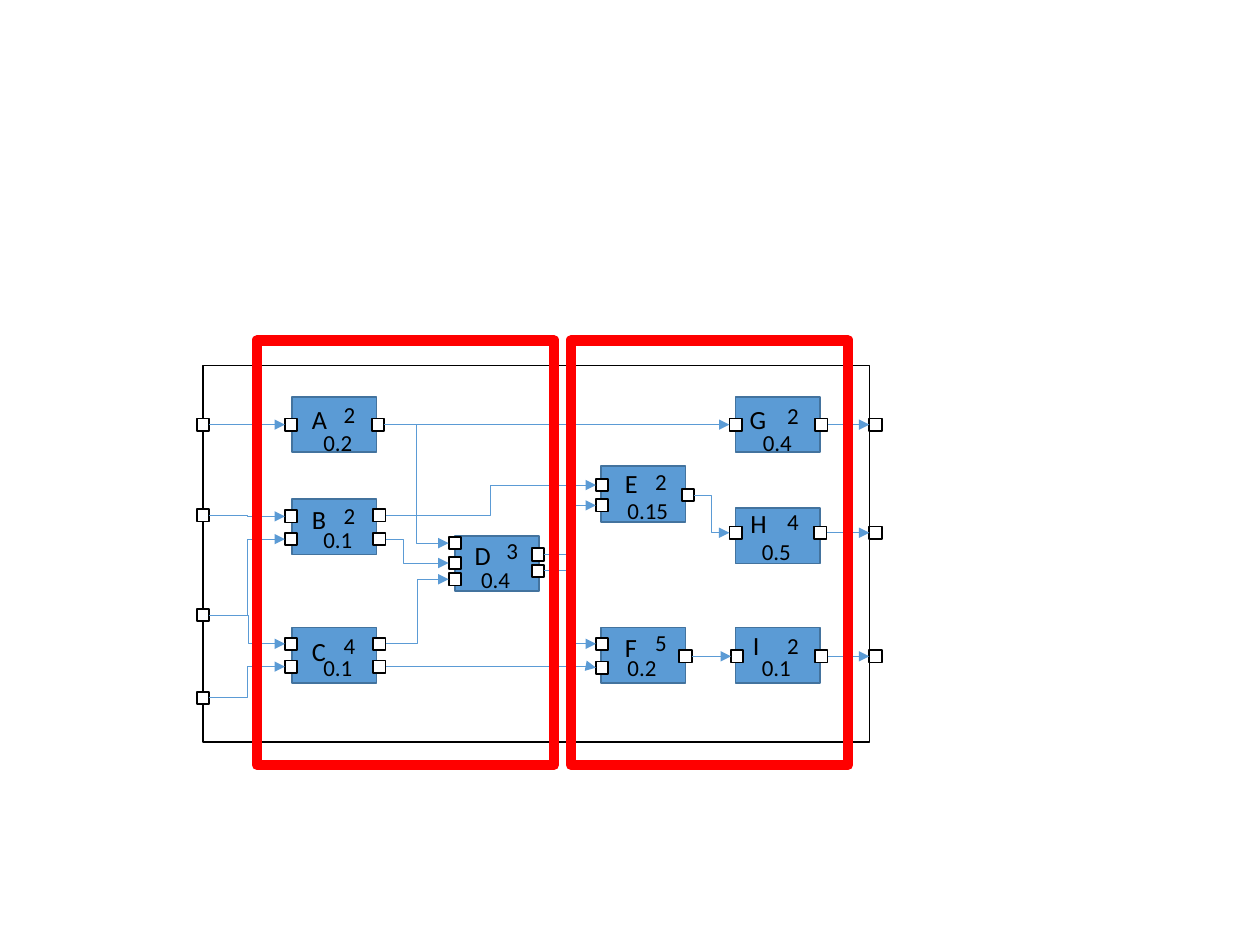
from dataclasses import dataclass
from typing import Optional

import lxml.etree
import pptx
import pptx.dml.color
import pptx.enum.shapes
import pptx.enum.text
import pptx.oxml.ns
import pptx.util

Cm, Pt = pptx.util.Cm, pptx.util.Pt
RGB = pptx.dml.color.RGBColor
qn = pptx.oxml.ns.qn
Point = tuple[float, float]


@dataclass(frozen=True)
class Theme:
    font: str = "Calibri"
    ink: RGB = RGB(0, 0, 0)
    paper: RGB = RGB(255, 255, 255)
    block_fill: RGB = RGB(0x5B, 0x9B, 0xD5)
    block_line: RGB = RGB(0x43, 0x73, 0x9E)
    partition: RGB = RGB(255, 0, 0)
    name_size: float = 15
    number_size: float = 13.1
    thin: float = 0.5
    normal: float = 1
    thick: float = 6


@dataclass(frozen=True)
class Block:
    """A task; label places are offsets from its top left corner, in cm."""
    left: float
    top: float
    count: str
    weight: str
    name_at: Point
    count_at: Point
    weight_at: Point


@dataclass(frozen=True)
class Ports:
    """Heights of the port centres on the two sides of a block."""
    in_x: float = 0
    ins: tuple[float, ...] = ()
    out_x: float = 0
    outs: tuple[float, ...] = ()


@dataclass(frozen=True)
class Wire:
    source: str
    out: int
    target: str
    into: int
    bend: float = 0.5
    branch_x: Optional[float] = None


THEME = Theme()
BLOCK_W, BLOCK_H, PORT = 1.7, 1.12, 0.25
NAME_BOX, COUNT_BOX = (0.79, 0.9), (0.91, 0.81)
WEIGHT_H = 0.81

BLOCKS = {
    "A": Block(5.89, 8, "2", "0.2", (0.15, 0), (0.79, -0.05), (0.38, 0.51)),
    "B": Block(5.89, 10.06, "2", "0.1", (0.15, -0.03), (0.79, -0.08), (0.38, 0.41)),
    "C": Block(5.89, 12.65, "4", "0.1", (0.15, 0.03), (0.79, -0.05), (0.38, 0.41)),
    "D": Block(9.17, 10.8, "3", "0.4", (0.15, -0.05), (0.79, -0.1), (0.28, 0.48)),
    "E": Block(12.12, 9.4, "2", "0.15", (0.23, -0.1), (0.84, -0.1), (0.28, 0.48)),
    "F": Block(12.12, 12.65, "5", "0.2", (0.23, -0.05), (0.84, -0.1), (0.28, 0.41)),
    "G": Block(14.83, 8, "2", "0.4", (0.03, 0), (0.79, -0.03), (0.3, 0.51)),
    "H": Block(14.83, 10.24, "4", "0.5", (0.05, -0.13), (0.79, -0.13), (0.28, 0.48)),
    "I": Block(14.83, 12.65, "2", "0.1", (0.1, -0.08), (0.79, -0.05), (0.28, 0.41)),
}

PORTS = {
    "inputs": Ports(out_x=4.09, outs=(8.56, 10.39, 12.4, 14.07)),
    "A": Ports(5.87, (8.56,), 7.62, (8.56,)),
    "B": Ports(5.87, (10.41, 10.87), 7.65, (10.39, 10.87)),
    "C": Ports(5.87, (12.98, 13.44), 7.65, (12.98, 13.44)),
    "D": Ports(9.17, (10.95, 11.35, 11.68), 10.85, (11.18, 11.51)),
    "E": Ports(12.14, (9.78, 10.19), 13.87, (9.98,)),
    "F": Ports(12.14, (12.98, 13.46), 13.82, (13.23,)),
    "G": Ports(14.83, (8.56,), 16.56, (8.56,)),
    "H": Ports(14.83, (10.74,), 16.54, (10.74,)),
    "I": Ports(14.86, (13.23,), 16.56, (13.23,)),
    "outputs": Ports(in_x=17.65, ins=(8.56, 10.74, 13.23)),
}

WIRES = [
    Wire("inputs", 0, "A", 0),
    Wire("inputs", 1, "B", 0),
    Wire("inputs", 2, "B", 1),
    Wire("inputs", 2, "C", 0, 0.04, branch_x=4.98),
    Wire("inputs", 3, "C", 1),
    Wire("A", 0, "D", 0),
    Wire("A", 0, "G", 0, branch_x=8.38),
    Wire("B", 0, "E", 0),
    Wire("B", 1, "D", 1, 0.29),
    Wire("C", 0, "D", 2),
    Wire("C", 1, "F", 1, 1.01),
    Wire("D", 0, "E", 1),
    Wire("D", 1, "F", 0),
    Wire("E", 0, "H", 0),
    Wire("F", 0, "I", 0),
    Wire("G", 0, "outputs", 0),
    Wire("H", 0, "outputs", 1),
    Wire("I", 0, "outputs", 2),
]


def draw_box(slide, left: float, top: float, width: float, height: float,
             line: RGB, weight: float, fill: Optional[RGB] = None) -> None:
    box = slide.shapes.add_shape(pptx.enum.shapes.MSO_SHAPE.RECTANGLE,
                                 Cm(left), Cm(top), Cm(width), Cm(height))
    box.shadow.inherit = False
    if fill is None:
        box.fill.background()
    else:
        box.fill.solid()
        box.fill.fore_color.rgb = fill
    box.line.color.rgb = line
    box.line.width = Pt(weight)


def draw_port(slide, x: float, y: float) -> None:
    draw_box(slide, x - PORT / 2, y - PORT / 2, PORT, PORT,
             THEME.ink, THEME.normal, THEME.paper)


def draw_wire(slide, wire: Wire) -> None:
    source, target = PORTS[wire.source], PORTS[wire.target]
    start_x = wire.branch_x or source.out_x + PORT / 2
    start_y, end_y = source.outs[wire.out], target.ins[wire.into]
    kinds = pptx.enum.shapes.MSO_CONNECTOR
    kind = kinds.STRAIGHT if start_y == end_y else kinds.ELBOW
    arrow = slide.shapes.add_connector(
        kind, Cm(start_x), Cm(start_y), Cm(target.in_x - PORT / 2), Cm(end_y))
    arrow.line.color.rgb = THEME.block_fill
    arrow.line.width = Pt(THEME.thin)
    properties = arrow._element.spPr
    if kind == kinds.ELBOW:
        guides = properties.find(qn("a:prstGeom")).get_or_add_avLst()
        lxml.etree.SubElement(guides, qn("a:gd"), name="adj1",
                              fmla=f"val {round(wire.bend * 100000)}")
    lxml.etree.SubElement(properties.find(qn("a:ln")), qn("a:tailEnd"), type="triangle")
    lxml.etree.SubElement(properties, qn("a:effectLst"))


def draw_label(slide, text: str, block: Block, offset: Point,
               size: Point, points: float) -> None:
    label = slide.shapes.add_textbox(Cm(block.left + offset[0]), Cm(block.top + offset[1]),
                                     Cm(size[0]), Cm(size[1]))
    frame = label.text_frame
    frame.word_wrap = True
    frame.auto_size = pptx.enum.text.MSO_AUTO_SIZE.SHAPE_TO_FIT_TEXT
    paragraph = frame.paragraphs[0]
    paragraph.text = text
    paragraph.font.name = THEME.font
    paragraph.font.size = Pt(points)
    paragraph.font.color.rgb = THEME.ink


def main() -> None:
    deck = pptx.Presentation()
    deck.slide_width, deck.slide_height = Cm(25.4), Cm(19.05)
    slide = deck.slides.add_slide(deck.slide_layouts[6])

    # System boundary and task blocks
    draw_box(slide, 4.09, 7.37, 13.44, 7.59, THEME.ink, THEME.normal)
    for block in BLOCKS.values():
        draw_box(slide, block.left, block.top, BLOCK_W, BLOCK_H,
                 THEME.block_line, THEME.normal, THEME.block_fill)

    # Ports and the wires between them
    for ports in PORTS.values():
        for y in ports.ins:
            draw_port(slide, ports.in_x, y)
        for y in ports.outs:
            draw_port(slide, ports.out_x, y)
    for wire in WIRES:
        draw_wire(slide, wire)

    # Name, count and weight of each block
    for name, block in BLOCKS.items():
        weight_box = (1.47 if len(block.weight) > 3 else 1.27, WEIGHT_H)
        draw_label(slide, name, block, block.name_at, NAME_BOX, THEME.name_size)
        draw_label(slide, block.count, block, block.count_at, COUNT_BOX, THEME.number_size)
        draw_label(slide, block.weight, block, block.weight_at, weight_box, THEME.number_size)

    # Partitions
    for left, width in ((5.18, 5.99), (11.51, 5.59)):
        draw_box(slide, left, 6.86, width, 8.56, THEME.partition, THEME.thick)

    deck.save("out.pptx")


if __name__ == "__main__":
    main()
